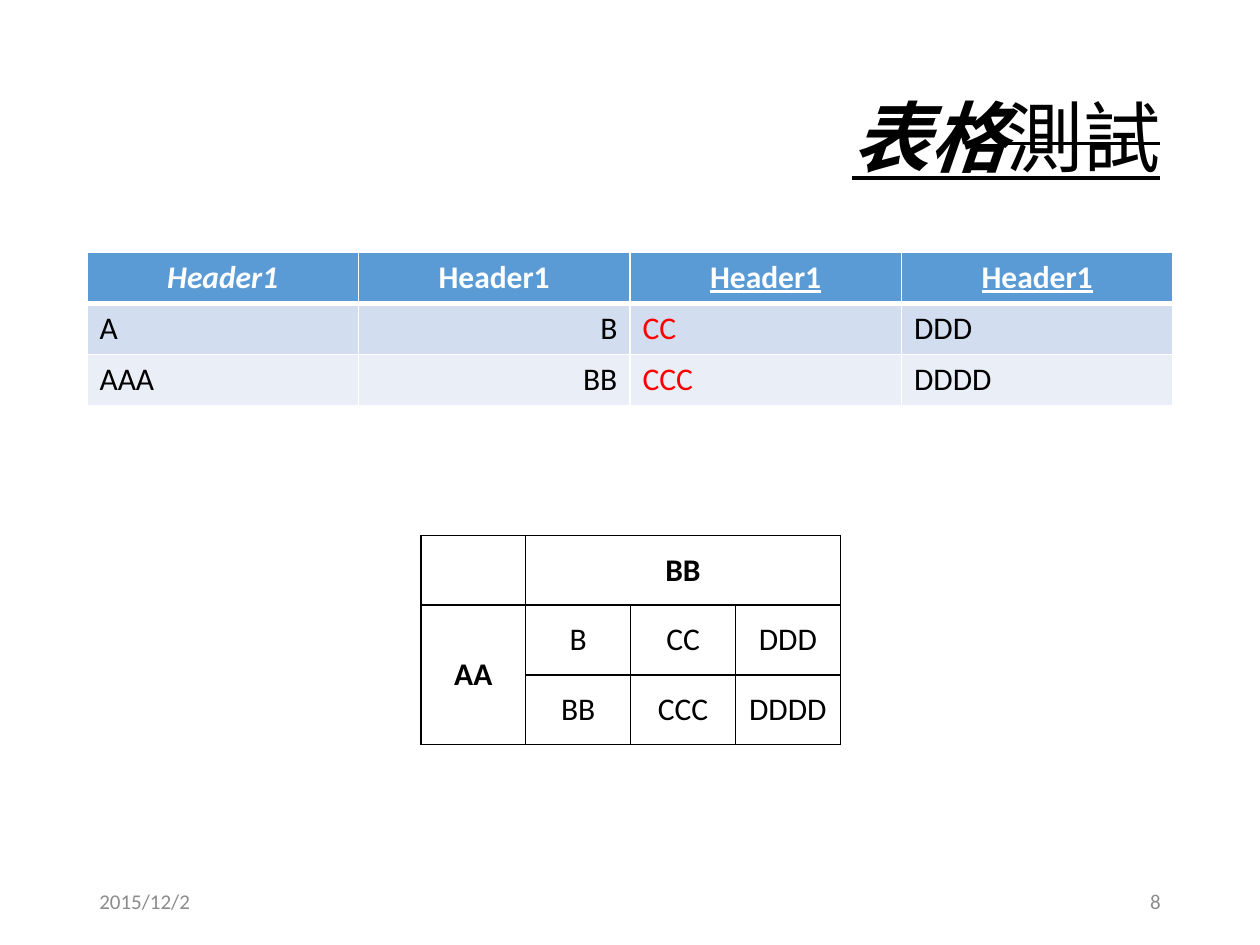
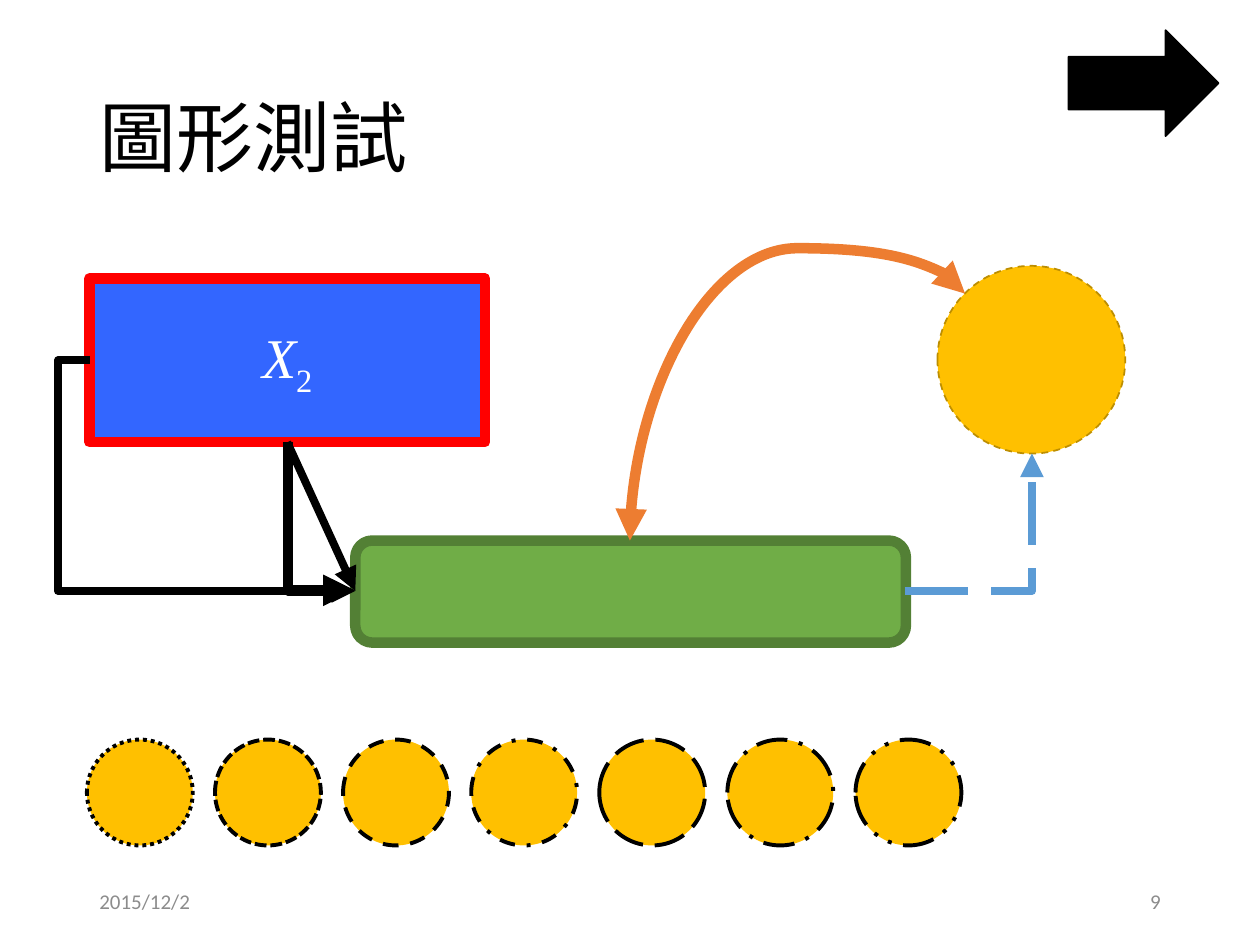
from lxml.etree import SubElement
from pptx import Presentation
from pptx.dml.color import RGBColor
from pptx.enum.dml import MSO_LINE
from pptx.enum.shapes import MSO_CONNECTOR, MSO_SHAPE
from pptx.enum.text import MSO_ANCHOR, MSO_AUTO_SIZE, PP_ALIGN
from pptx.oxml.ns import qn
from pptx.util import Inches, Pt

LEFT, MID, RIGHT = PP_ALIGN.LEFT, PP_ALIGN.CENTER, PP_ALIGN.RIGHT
BLACK, WHITE, GREY, RED = "000000", "FFFFFF", "8C8C8C", "FF0000"
BLUE, GOLD, ORANGE = "5B9BD5", "FFC000", "ED7D31"
SANS, CJK, SERIF = "Calibri", "Noto Sans CJK SC", "Times New Roman"
DATE = "2015/12/2"

HEADS = [
    ("Header1", {"italic": True}),
    ("Header1", {}),
    ("Header1", {"underline": True}),
    ("Header1", {"underline": True}),
]
ROWS = [["A", "B", "CC", "DDD"], ["AAA", "BB", "CCC", "DDDD"]]
BANDS = ["D2DEEF", "EAEFF7"]
ALIGNS = [LEFT, RIGHT, LEFT, LEFT]
INKS = [BLACK, BLACK, RED, BLACK]

GRID = [
    ["", "BB", "", ""],
    ["AA", "B", "CC", "DDD"],
    ["", "BB", "CCC", "DDDD"],
]
SPANS = [((0, 1), (0, 3)), ((1, 0), (2, 0))]

SHAPES = {
    "box": (MSO_SHAPE.RECTANGLE, (0.71, 2.21, 3.14, 1.3), "3366FF", RED, 6),
    "disc": (MSO_SHAPE.OVAL, (7.44, 2.11, 1.49, 1.49), GOLD, "BD8E00", 1, MSO_LINE.DASH),
    "bar": (MSO_SHAPE.ROUNDED_RECTANGLE, (2.82, 4.29, 4.37, 0.81), "70AD47", "538035", 6),
    "arrow": (MSO_SHAPE.RIGHT_ARROW, (8.48, 0.24, 1.19, 0.84), BLACK, BLACK, 1),
}
LINKS = [
    {"kind": "line", "at": (2.28, 3.51, 0.54, 1.18), "ends": (("box", 2), ("bar", 1)),
     "hue": BLACK, "width": 4.5},
    {"kind": "bentConnector2", "at": (7.18, 3.6, 1.01, 1.09), "flip": "V",
     "ends": (("bar", 3), ("disc", 4)), "hue": BLUE, "width": 4.5, "dash": MSO_LINE.LONG_DASH},
    {"kind": "curvedConnector3", "at": (5.35, 1.98, 1.96, 2.66), "turn": 270, "flip": "HV",
     "adj": -18400, "ends": (("disc", 1), ("bar", 0)), "hue": ORANGE, "width": 6, "both": True},
    {"kind": "bentConnector3", "at": (0.71, 2.86, 2.11, 1.83), "turn": 180, "flip": "HV",
     "adj": -11900, "ends": (("box", 1), ("bar", 1)), "hue": BLACK, "width": 4.5},
    {"kind": "bentConnector2", "at": (1.96, 3.83, 1.18, 0.53), "turn": 270, "flip": "H",
     "ends": (("box", 2), ("bar", 1)), "hue": BLACK, "width": 6},
]
DASHES = [
    MSO_LINE.ROUND_DOT, MSO_LINE.SQUARE_DOT, MSO_LINE.DASH, MSO_LINE.DASH_DOT,
    MSO_LINE.LONG_DASH, MSO_LINE.LONG_DASH_DOT, MSO_LINE.DASH_DOT_DOT,
]


def rgb(code):
    """Turn a hex string into a colour."""
    return RGBColor.from_string(code)


def style(run, size, ink, face=SANS, **marks):
    """Format one run."""
    font = run.font
    font.size, font.name = Pt(size), face
    font.color.rgb = rgb(ink)
    for name, value in marks.items():
        setattr(font, name, value)


def write(frame, text, size, ink, align=LEFT, **marks):
    """Put one line of text in a frame."""
    frame.text = text
    para = frame.paragraphs[0]
    para.alignment = align
    for run in para.runs:
        style(run, size, ink, **marks)


def add_base(deck, parts, page, align=LEFT, face=SANS):
    """Add a slide with its title, date and page number."""
    slide = deck.slides.add_slide(deck.slide_layouts[5])
    title = slide.shapes.title
    title.left, title.top, title.width, title.height = map(Inches, (0.69, 0.4, 8.62, 1.45))
    frame = title.text_frame
    frame.auto_size = MSO_AUTO_SIZE.NONE
    frame.vertical_anchor = MSO_ANCHOR.MIDDLE
    para = frame.paragraphs[0]
    para.alignment, para.line_spacing = align, 0.9
    for text, marks in parts:
        run = para.add_run()
        run.text = text
        style(run, 44, BLACK, face, **marks)
    for left, text, side in [(0.69, DATE, LEFT), (7.06, page, RIGHT)]:
        box = slide.shapes.add_textbox(*map(Inches, (left, 6.95, 2.25, 0.4)))
        box.text_frame.word_wrap = True
        box.text_frame.vertical_anchor = MSO_ANCHOR.MIDDLE
        write(box.text_frame, text, 12, GREY, side)
    return slide


def mark_last(shape, name, value):
    """Set a raw text attribute on the last run of a shape."""
    list(shape.element.iter(qn("a:rPr")))[-1].set(name, value)


def paint(parent, hue):
    """Add a solid fill to an XML line."""
    SubElement(SubElement(parent, qn("a:solidFill")), qn("a:srgbClr")).set("val", hue)


def edge(cell, hue, top=1, base=1):
    """Draw the four borders of a cell."""
    props = cell._tc.get_or_add_tcPr()
    for side, width in zip("LRTB", (1, 1, top, base)):
        paint(SubElement(props, qn(f"a:ln{side}"), w=str(Pt(width))), hue)


def add_grid(slide, at, rows):
    """Add a table of equal cells."""
    table = slide.shapes.add_table(rows, 4, *map(Inches, at)).table
    table.first_row = table.horz_banding = False
    return table


def add_bands(slide):
    """Add the banded table with its header row."""
    table = add_grid(slide, (0.69, 2, 8.62, 1.22), 3)
    for col, (text, marks) in enumerate(HEADS):
        cell = table.cell(0, col)
        write(cell.text_frame, text, 18, WHITE, MID, bold=True, **marks)
        edge(cell, WHITE, base=3)
        cell.fill.solid()
        cell.fill.fore_color.rgb = rgb(BLUE)
    for row, (texts, band) in enumerate(zip(ROWS, BANDS), 1):
        for col, text in enumerate(texts):
            cell = table.cell(row, col)
            write(cell.text_frame, text, 18, INKS[col], ALIGNS[col], bold=False)
            edge(cell, WHITE, top=3 if row == 1 else 1)
            cell.fill.solid()
            cell.fill.fore_color.rgb = rgb(band)


def add_spans(slide):
    """Add the ruled table with merged cells."""
    table = add_grid(slide, (3.34, 4.25, 3.33, 1.66), 3)
    for row, texts in enumerate(GRID):
        for col, text in enumerate(texts):
            cell = table.cell(row, col)
            write(cell.text_frame, text, 18, BLACK, MID, bold=row == 0 or col == 0)
            cell.vertical_anchor = MSO_ANCHOR.MIDDLE
            edge(cell, BLACK)
            cell.fill.background()
    for start, end in SPANS:
        table.cell(*start).merge(table.cell(*end))


def add_form(slide, kind, at, fill, hue, width, dash=None):
    """Add a filled and outlined shape."""
    shape = slide.shapes.add_shape(kind, *map(Inches, at))
    shape.shadow.inherit = False
    shape.fill.solid()
    shape.fill.fore_color.rgb = rgb(fill)
    shape.line.color.rgb = rgb(hue)
    shape.line.width = Pt(width)
    if dash:
        shape.line.dash_style = dash
    return shape


def add_link(slide, forms, kind, at, ends, hue, width, turn=0, flip="", adj=None,
             dash=None, both=False):
    """Add an arrow glued to two shapes."""
    left, top, wide, high = at
    link = slide.shapes.add_connector(
        MSO_CONNECTOR.STRAIGHT, *map(Inches, (left, top, left + wide, top + high)))
    node = link.element
    for tag, (name, site) in zip(("a:stCxn", "a:endCxn"), ends):
        glue = node.find(".//" + qn("p:cNvCxnSpPr"))
        SubElement(glue, qn(tag), id=str(forms[name].shape_id), idx=str(site))
    frame = node.find(".//" + qn("a:xfrm"))
    if turn:
        frame.set("rot", str(turn * 60000))
    for axis in flip:
        frame.set("flip" + axis, "1")
    shape = node.find(".//" + qn("a:prstGeom"))
    shape.set("prst", kind)
    if adj is not None:
        guide = shape.find(qn("a:avLst"))
        SubElement(guide, qn("a:gd"), name="adj1", fmla=f"val {adj}")
    link.line.color.rgb = rgb(hue)
    link.line.width = Pt(width)
    if dash:
        link.line.dash_style = dash
    line = node.find(".//" + qn("a:ln"))
    for tag in ("a:headEnd", "a:tailEnd") if both else ("a:tailEnd",):
        SubElement(line, qn(tag), type="triangle")
    SubElement(line.getparent(), qn("a:effectLst"))


def add_forms(slide):
    """Add the shapes, the row of discs and the arrows."""
    forms = {name: add_form(slide, *form) for name, form in SHAPES.items()}
    box = forms["box"]
    box.text_frame.vertical_anchor = MSO_ANCHOR.MIDDLE
    write(box.text_frame, "X", 32, WHITE, MID, face=SERIF, italic=True)
    low = box.text_frame.paragraphs[0].add_run()
    low.text = "2"
    style(low, 32, WHITE, SERIF, italic=False)
    mark_last(box, "baseline", "-25000")
    for i, dash in enumerate(DASHES):
        at = (0.69 + i * 6.1 / 6, 5.87, 0.84, 0.84)
        add_form(slide, MSO_SHAPE.OVAL, at, GOLD, BLACK, 2.25, dash)
    for link in LINKS:
        add_link(slide, forms, **link)


def main():
    """Build both slides and save them."""
    deck = Presentation()
    deck.slide_width, deck.slide_height = Inches(10), Inches(7.5)
    parts = [
        ("表格", {"bold": True, "italic": True, "underline": True}),
        ("測試", {"bold": False, "italic": False, "underline": True}),
    ]
    first = add_base(deck, parts, "8", RIGHT, CJK)
    mark_last(first.shapes.title, "strike", "sngStrike")
    add_bands(first)
    add_spans(first)
    add_forms(add_base(deck, [("圖形測試", {})], "9"))
    deck.save("out.pptx")


if __name__ == "__main__":
    main()
